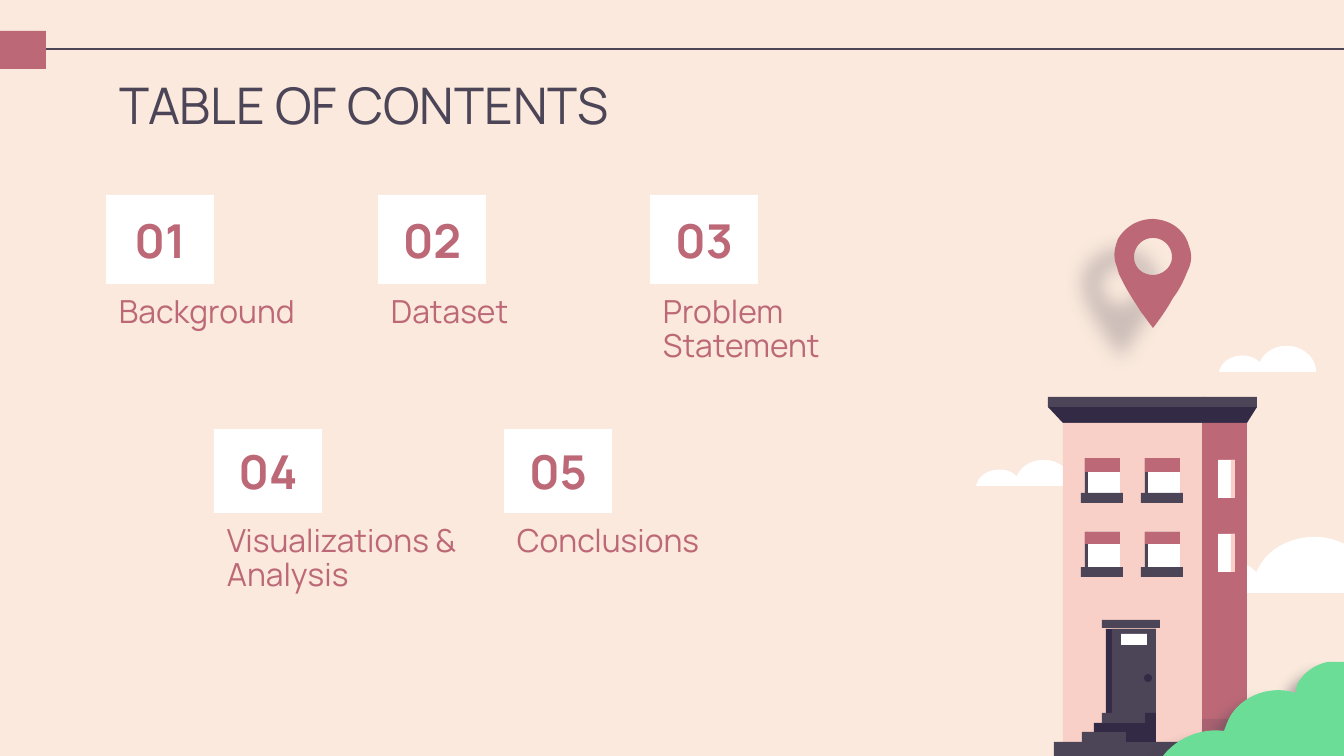
import pptx
import pptx.dml.color
import pptx.enum.shapes
import pptx.enum.text
import pptx.oxml
import pptx.oxml.ns
import pptx.util

RECT = pptx.enum.shapes.MSO_SHAPE.RECTANGLE
OVAL = pptx.enum.shapes.MSO_SHAPE.OVAL
ANCHOR = pptx.enum.text.MSO_ANCHOR
ALIGN = pptx.enum.text.PP_ALIGN
SLATE, NIGHT, ROSE, BLUSH = "4C4557", "332B45", "BD6877", "F9D0C8"
WHITE, CREAM, GREEN = "FFFFFF", "FAE9DC", "6BDD96"
FONT = "Manrope"
INSET = 13


def emu(px):
    return pptx.util.Emu(round(px * 914400 / 134.4))


def rgb(color):
    return pptx.dml.color.RGBColor.from_string(color)


def flatten(start, parts, steps=12):
    points = [start]
    for part in parts:
        if len(part) == 2:
            points.append(part)
            continue
        curve = (points[-1], part[:2], part[2:4], part[4:])
        for step in range(1, steps + 1):
            t = step / steps
            weights = ((1 - t) ** 3, 3 * t * (1 - t) ** 2, 3 * t * t * (1 - t), t ** 3)
            points.append(tuple(sum(w * p[axis] for w, p in zip(weights, curve)) for axis in (0, 1)))
    return [(emu(x), emu(y)) for x, y in points]


class Deck:
    """Holds the style and the current slide, and draws each kind of element."""

    def __init__(self, width, height):
        self.prs = pptx.Presentation()
        self.prs.slide_width, self.prs.slide_height = emu(width), emu(height)

    def add_slide(self, background):
        self.slide = self.prs.slides.add_slide(self.prs.slide_layouts[5])
        self.slide.background.fill.solid()
        self.slide.background.fill.fore_color.rgb = rgb(background)
        self.shapes = self.slide.shapes

    def start_group(self):
        self.shapes = self.slide.shapes.add_group_shape().shapes

    def end_group(self):
        self.shapes = self.slide.shapes

    def paint(self, shape, color, opacity=100):
        shape.shadow.inherit = False
        shape.line.fill.background()
        shape.fill.solid()
        shape.fill.fore_color.rgb = rgb(color)
        if opacity < 100:
            tint = shape._element.spPr.find(".//" + pptx.oxml.ns.qn("a:srgbClr"))
            tint.append(self.xml(f'<a:alpha {{ns}} val="{opacity * 1000}"/>'))
        return shape

    def xml(self, markup):
        return pptx.oxml.parse_xml(markup.format(ns=pptx.oxml.ns.nsdecls("a")))

    def block(self, left, top, width, height, color, opacity=100, kind=RECT):
        shape = self.shapes.add_shape(kind, emu(left), emu(top), emu(width), emu(height))
        return self.paint(shape, color, opacity)

    def outline(self, color, *contours):
        first, *others = [flatten(start, parts) for start, *parts in contours]
        builder = self.shapes.build_freeform(*first[0], scale=1.0)
        builder.add_line_segments(first[1:], close=True)
        for points in others:
            builder.move_to(*points[0])
            builder.add_line_segments(points[1:], close=True)
        return self.paint(builder.convert_to_shape(), color)

    def cast_shadow(self, shape, opacity, blur, distance):
        effects = shape._element.spPr.find(pptx.oxml.ns.qn("a:effectLst"))
        effects.append(self.xml(
            f'<a:outerShdw {{ns}} blurRad="{pptx.util.Pt(blur)}" dist="{pptx.util.Pt(distance)}" '
            f'dir="{138 * 60000}" algn="bl" rotWithShape="0">'
            f'<a:srgbClr val="{SLATE}"><a:alpha val="{opacity * 1000}"/></a:srgbClr></a:outerShdw>'))

    def rule(self, x1, y1, x2, y2, color, weight):
        line = self.shapes.add_connector(
            pptx.enum.shapes.MSO_CONNECTOR.STRAIGHT, emu(x1), emu(y1), emu(x2), emu(y2))
        line.line.color.rgb = rgb(color)
        line.line.width = pptx.util.Pt(weight)
        line._element.spPr.append(self.xml("<a:effectLst {ns}/>"))

    def set_text(self, shape, text, size, color, bold=False, align=ALIGN.LEFT, anchor=ANCHOR.TOP, spacing=1.0):
        frame = shape.text_frame
        frame.word_wrap = True
        frame.auto_size = pptx.enum.text.MSO_AUTO_SIZE.NONE
        frame.vertical_anchor = anchor
        frame.margin_left = frame.margin_right = frame.margin_top = frame.margin_bottom = emu(INSET)
        frame.text = text
        paragraph = frame.paragraphs[0]
        paragraph.alignment = align
        paragraph.line_spacing = spacing
        font = paragraph.font
        font.name, font.size, font.bold = FONT, pptx.util.Pt(size), bold
        font.color.rgb = rgb(color)

    def title(self, left, top, width, height, text):
        heading = self.slide.shapes.title
        heading.left, heading.top, heading.width, heading.height = map(emu, (left, top, width, height))
        self.set_text(heading, text, 27, SLATE, spacing=0.95)

    def chapter(self, left, top, height, number, name, name_width):
        badge = self.block(left, top, 108, height, WHITE)
        self.set_text(badge, number, 25, ROSE, True, ALIGN.CENTER, ANCHOR.MIDDLE)
        label = self.shapes.add_textbox(emu(left), emu(top + height), emu(name_width), emu(99))
        self.set_text(label, name, 17, ROSE, spacing=0.88)

    def cloud(self, left, bottom, width):
        def at(*values):
            origin = (left, bottom)
            return tuple(origin[i % 2] + value * width / 100 for i, value in enumerate(values))
        self.outline(WHITE, [
            at(100, 0), at(100, -1), at(100, -15, 86, -27, 70, -27), at(57, -27, 46, -20, 42, -10),
            at(37, -15, 31, -17, 24, -17), at(12, -17, 2, -10, 0, 0)])

    def window(self, left, top, blind):
        self.block(left, top, 35, 35, SLATE)
        self.block(left + 3, top, 32, 35, WHITE)
        self.block(left, top, 35, blind, ROSE)
        self.block(left - 4, top + 35, 42, 10, SLATE)

    def side_window(self, left, top):
        self.block(left, top, 17, 38, WHITE)
        self.block(left + 13, top, 4, 38, BLUSH)

    def building(self):
        self.outline(NIGHT, [(1048, 407), (1204, 407), (1204, 423), (1063, 423)])
        self.outline(NIGHT, [(1204, 407), (1257, 407), (1247, 423), (1203, 423)])
        self.block(1202, 423, 45, 333, ROSE)
        self.block(1063, 423, 139, 333, BLUSH)
        self.block(1048, 397, 156, 10, SLATE)
        self.block(1203, 397, 54, 10, SLATE)
        self.block(1202, 719, 45, 37, SLATE, 17)
        for top, blind in ((458, 14), (532, 12)):
            for left in (1085, 1145):
                self.window(left, top, blind)
            self.side_window(1218, top + 2)
        self.block(1054, 742, 203, 14, SLATE)
        self.block(1210, 742, 47, 14, NIGHT, 57)

    def entrance(self):
        self.block(1106, 629, 50, 85, NIGHT)
        self.block(1112, 629, 44, 85, SLATE)
        self.block(1121, 634, 26, 11, WHITE)
        self.block(1102, 620, 58, 8, SLATE)
        self.outline(NIGHT, [(1145, 713), (1145, 723), (1136, 723), (1136, 732),
                             (1126, 732), (1126, 742), (1156, 742), (1156, 713)])
        self.block(1082, 732, 44, 10, SLATE)
        self.block(1094, 723, 42, 9, NIGHT)
        self.block(1102, 713, 43, 10, SLATE)
        self.block(1144, 674, 8, 8, NIGHT, kind=OVAL)

    def bush(self):
        leaves = self.outline(GREEN, [
            (1344, 662), (1344, 756), (1163, 756), (1177, 738, 1201, 728, 1224, 731),
            (1226, 726, 1228, 720, 1231, 715), (1244, 695, 1271, 685, 1296, 693),
            (1296, 688, 1297, 684, 1300, 680), (1306, 671, 1317, 664, 1328, 662)])
        self.cast_shadow(leaves, 41, 6.8, 8.2)

    def map_pin(self):
        hole = [(1153, 238), (1164, 238, 1172, 247, 1172, 257), (1172, 267, 1163, 275, 1153, 275),
                (1142, 275, 1134, 267, 1134, 257), (1134, 247, 1142, 238, 1153, 238)]
        drop = [(1153, 219), (1138, 219, 1125, 227, 1118, 239), (1114, 249, 1113, 258, 1117, 267),
                (1118, 271, 1119, 275, 1121, 278), (1126, 289, 1134, 301, 1141, 312),
                (1145, 317, 1149, 323, 1153, 328), (1160, 319, 1167, 309, 1173, 298),
                (1180, 289, 1184, 280, 1188, 270), (1192, 262, 1192, 254, 1189, 246),
                (1185, 231, 1172, 220, 1153, 219)]
        self.cast_shadow(self.outline(ROSE, hole, drop), 25, 10.1, 23.2)


def main():
    deck = Deck(1344, 756)
    deck.add_slide(CREAM)
    deck.rule(0, 49, 1344, 49, SLATE, 0.75)
    deck.block(0, 31, 46, 38, ROSE)
    deck.title(106, 66, 1133, 85, "TABLE OF CONTENTS")
    deck.start_group()
    for left, bottom, width in ((976, 486, 97), (1219, 372, 97), (1169, 593, 208)):
        deck.cloud(left, bottom, width)
    deck.building()
    deck.entrance()
    deck.bush()
    deck.map_pin()
    deck.end_group()
    rows = (
        (106, 272, 195, 89, (("Background", 242), ("Dataset", 242), ("Problem Statement", 249))),
        (214, 290, 429, 84, (("Visualizations & Analysis", 271), ("Conclusions", 327))),
    )
    number = 0
    for left, pitch, top, height, chapters in rows:
        for column, (name, width) in enumerate(chapters):
            number += 1
            deck.chapter(left + column * pitch, top, height, f"{number:02}", name, width)
    deck.prs.save("out.pptx")


if __name__ == "__main__":
    main()
